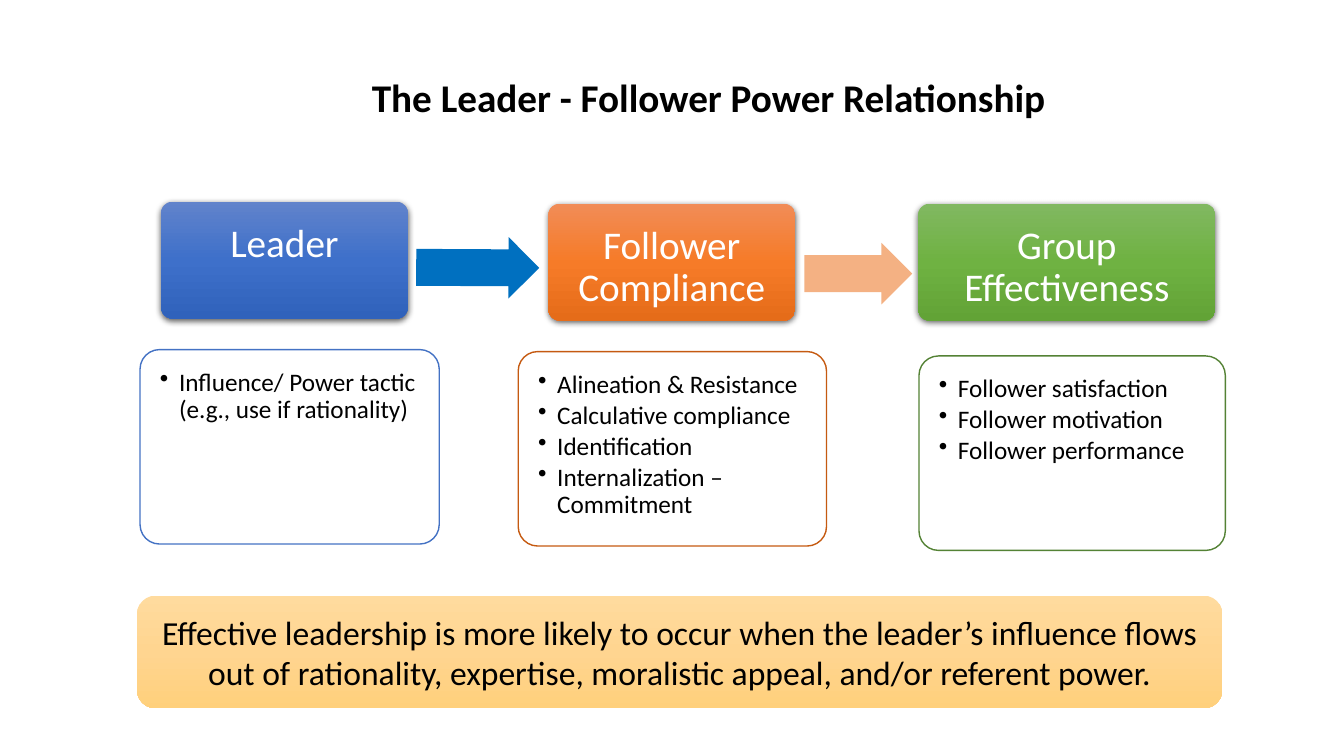
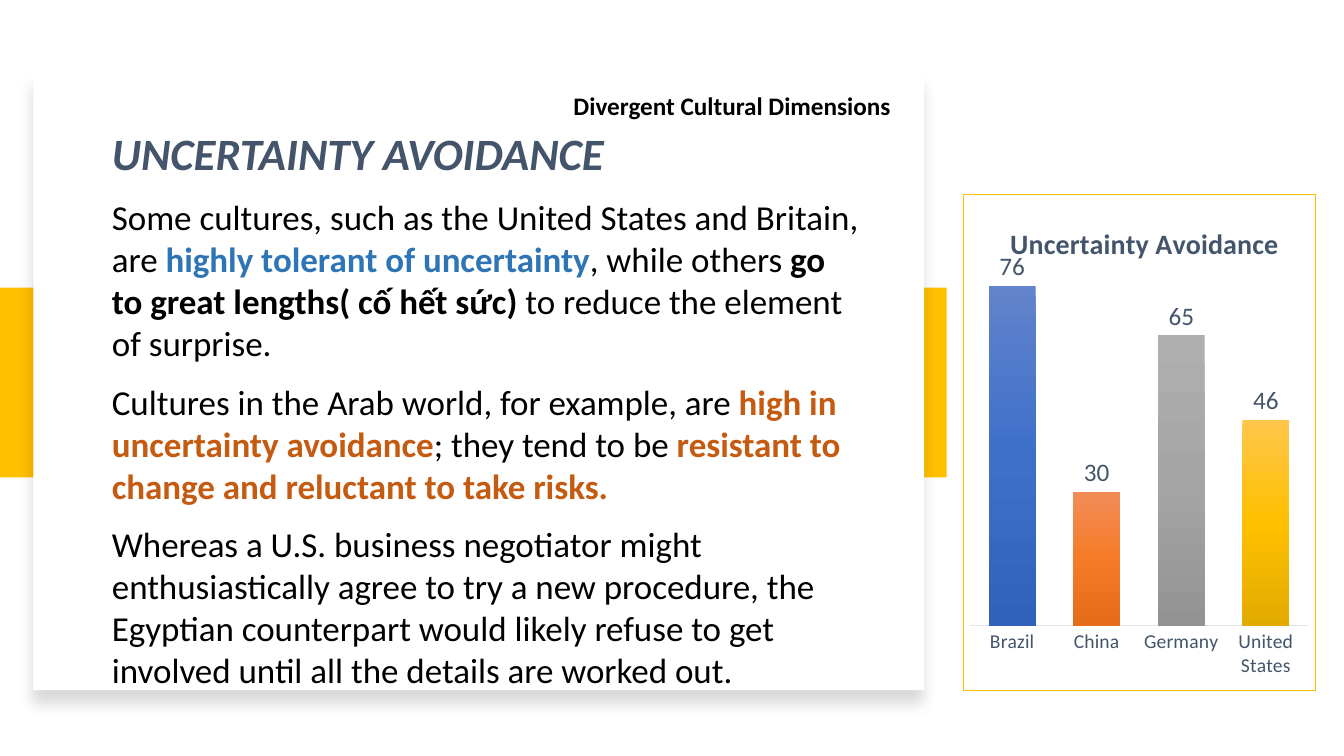
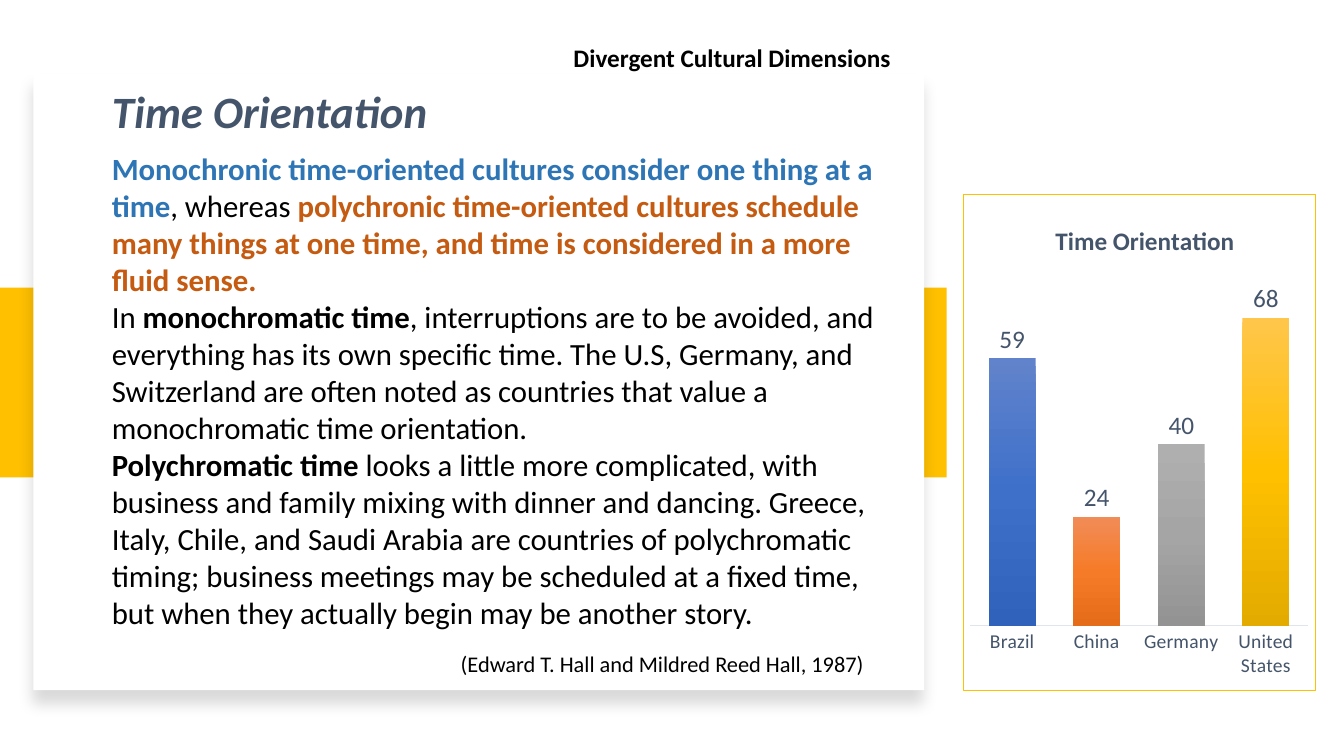
"""Build three slides on leadership power and cultural dimensions."""
from dataclasses import dataclass

from pptx import Presentation
from pptx.chart.data import CategoryChartData
from pptx.dml.color import RGBColor
from pptx.enum.chart import XL_CHART_TYPE, XL_LABEL_POSITION, XL_TICK_MARK
from pptx.enum.shapes import MSO_SHAPE
from pptx.enum.text import MSO_ANCHOR, PP_ALIGN
from pptx.oxml import parse_xml
from pptx.oxml.ns import nsdecls
from pptx.util import Cm, Pt

RECTANGLE = MSO_SHAPE.RECTANGLE
ROUNDED = MSO_SHAPE.ROUNDED_RECTANGLE
ARROW = MSO_SHAPE.RIGHT_ARROW
LEFT, CENTER, RIGHT = PP_ALIGN.LEFT, PP_ALIGN.CENTER, PP_ALIGN.RIGHT
TOP, MIDDLE = MSO_ANCHOR.TOP, MSO_ANCHOR.MIDDLE
COLUMN = XL_CHART_TYPE.COLUMN_CLUSTERED
OUTSIDE_END = XL_LABEL_POSITION.OUTSIDE_END
NO_TICK = XL_TICK_MARK.NONE


@dataclass(frozen=True)
class Theme:
    """Colours, gradients, font and type sizes shared by the slides."""
    font: str = "Calibri"
    black: str = "000000"
    white: str = "FFFFFF"
    slate: str = "44546A"
    gold: str = "FFC000"
    sky: str = "2E75B6"
    rust: str = "C55A11"
    axis: str = "E0E5EB"
    blue_edge: str = "4472C4"
    green_edge: str = "548235"
    blue_arrow: str = "0070C0"
    peach_arrow: str = "F4B183"
    blue: tuple = ("6183CB", "3E70CA", "3062BB")
    orange: tuple = ("F18C57", "F67B28", "E56C19")
    grey: tuple = ("AFAFAF", "A5A5A5", "939393")
    yellow: tuple = ("FFC64B", "FFC000", "E3AB00")
    green: tuple = ("81B861", "6FB242", "62A336")
    cream: tuple = ("FFDB9E", "FFD590", "FFD07C")
    heading: int = 32
    title: int = 28
    banner: int = 24
    label: int = 18
    citation: int = 16
    axis_label: int = 14


THEME = Theme()
RUN_STYLES = {"plain": (None, False), "bold": (None, True),
              "sky": (THEME.sky, True), "rust": (THEME.rust, True)}


@dataclass(frozen=True)
class Box:
    """A rectangle in centimetres."""
    left: float
    top: float
    width: float
    height: float

    def inner(self, left, top, width, height):
        """Return a box offset from this one's corner."""
        return Box(self.left + left, self.top + top, width, height)

    def place(self):
        """Return the position and size as lengths."""
        return Cm(self.left), Cm(self.top), Cm(self.width), Cm(self.height)


@dataclass(frozen=True)
class Stage:
    """One column of the power model; the heading is offset from the detail."""
    box: Box
    heading: str
    heading_left: float
    heading_width: float
    detail_top: float
    gradient: tuple
    edge: str
    points: tuple


@dataclass(frozen=True)
class Dimension:
    """Content of a cultural dimension slide; tops are within the panel."""
    heading: str
    kicker_top: float
    heading_top: float
    body_top: float
    body_width: float
    body_size: int
    body_gap: int
    body: tuple
    chart_title: str
    chart_title_size: int
    chart_title_left: float
    plot_top: float
    values: tuple
    citation: str = ""


def style_font(font, size, color, bold=False, italic=False):
    """Set the theme font with a size, colour and weight."""
    font.name = THEME.font
    font.size = Pt(size)
    font.bold = bold
    font.italic = italic
    font.color.rgb = RGBColor.from_string(color)


def set_gradient(fill, root, colors, index=0):
    """Fill from top to bottom with evenly spaced colour stops."""
    fill.gradient()
    fill.gradient_angle = 270
    stops = root.xpath(".//a:gsLst")[index]
    for stop in list(stops):
        stops.remove(stop)
    step = 100000 // (len(colors) - 1)
    for number, color in enumerate(colors):
        stops.append(parse_xml(
            f'<a:gs {nsdecls("a")} pos="{number * step}">'
            f'<a:srgbClr val="{color}"/></a:gs>'))


def add_shadow(shape, opacity, blur, distance):
    """Give a shape a soft shadow below it."""
    shape.element.xpath(".//a:effectLst")[0].append(parse_xml(
        f'<a:outerShdw {nsdecls("a")} blurRad="{Pt(blur)}" '
        f'dist="{Pt(distance)}" dir="5400000" algn="t" rotWithShape="0">'
        f'<a:srgbClr val="{THEME.black}"><a:alpha val="{opacity * 1000}"/>'
        '</a:srgbClr></a:outerShdw>'))


def add_figure(slide, kind, box, fill, edge=None, adjustments=()):
    """Add a preset shape with a flat or gradient fill."""
    shape = slide.shapes.add_shape(kind, *box.place())
    shape.shadow.inherit = False
    for index, value in enumerate(adjustments):
        shape.adjustments[index] = value
    if isinstance(fill, tuple):
        set_gradient(shape.fill, shape.element, fill)
    else:
        shape.fill.solid()
        shape.fill.fore_color.rgb = RGBColor.from_string(fill)
    if edge:
        shape.line.color.rgb = RGBColor.from_string(edge)
        shape.line.width = Pt(1)
    else:
        shape.line.fill.background()
    return shape


def add_bullet(paragraph):
    """Give a paragraph a round bullet with a hanging indent."""
    properties = paragraph._p.get_or_add_pPr()
    properties.set("marL", str(Cm(0.48)))
    properties.set("indent", str(-Cm(0.48)))
    properties.append(parse_xml(f'<a:buChar {nsdecls("a")} char="•"/>'))


def write_text(shape, paragraphs, size, color=THEME.black, bold=False,
               italic=False, align=LEFT, anchor=TOP, spacing=None,
               before=0, after=0, inset=None, bullets=False):
    """Write paragraphs, each a string or a tuple of styled runs."""
    frame = shape.text_frame
    frame.word_wrap = True
    frame.vertical_anchor = anchor
    if inset is not None:
        frame.margin_left = frame.margin_right = Cm(inset)
        frame.margin_top = frame.margin_bottom = Cm(inset)
    for index, content in enumerate(paragraphs):
        paragraph = frame.add_paragraph() if index else frame.paragraphs[0]
        paragraph.alignment = align
        if spacing:
            paragraph.line_spacing = spacing
        if index and before:
            paragraph.space_before = Pt(before)
        if after:
            paragraph.space_after = Pt(after)
        if bullets:
            add_bullet(paragraph)
        style_font(paragraph.font, size, color, bold, italic)
        if isinstance(content, str):
            paragraph.add_run().text = content
            continue
        for text, style in content:
            run = paragraph.add_run()
            run.text = text
            run_color, run.font.bold = RUN_STYLES[style]
            if run_color:
                run.font.color.rgb = RGBColor.from_string(run_color)


def add_text(slide, box, paragraphs, size, **options):
    """Add a text box."""
    write_text(slide.shapes.add_textbox(*box.place()), paragraphs, size,
               **options)


def add_stage(slide, stage):
    """Add a gradient heading above an outlined list."""
    box = stage.box
    heading = add_figure(
        slide, ROUNDED,
        box.inner(stage.heading_left, 0, stage.heading_width, 2.95),
        stage.gradient, adjustments=(0.1,))
    add_shadow(heading, 63, 4.5, 1.5)
    write_text(heading, [stage.heading], THEME.title, color=THEME.white,
               align=CENTER, spacing=0.9, inset=0.47)
    detail = add_figure(
        slide, ROUNDED, box.inner(0, stage.detail_top, box.width, 4.9),
        THEME.white, stage.edge, (0.1,))
    write_text(detail, stage.points, THEME.label, spacing=0.9, after=2.7,
               inset=0.36, bullets=True)


def add_arrow(slide, box, color, rotation=0):
    """Add a block arrow between two stages."""
    arrow = add_figure(slide, ARROW, box, color, adjustments=(0.6, 0.5))
    arrow.rotation = rotation


def add_power_slide(slide):
    """Add the power model: title, stages, arrows and banner."""
    add_text(slide, Box(5.22, 0.76, 25.27, 3.53),
             ["The Leader - Follower Power Relationship"], THEME.title,
             bold=True, align=CENTER, anchor=MIDDLE, spacing=0.9)
    for stage in STAGES:
        add_stage(slide, stage)
    add_arrow(slide, Box(10.49, 5.97, 3.1, 1.55), THEME.blue_arrow, 0.3)
    add_arrow(slide, Box(20.27, 6.12, 2.72, 1.55), THEME.peach_arrow)
    banner = add_figure(slide, ROUNDED, Box(3.45, 15.01, 27.36, 2.84),
                        THEME.cream)
    write_text(banner, [
        "Effective leadership is more likely to occur when the leader’s "
        "influence flows out of rationality, expertise, moralistic appeal, "
        "and/or referent power."], THEME.banner, align=CENTER, anchor=MIDDLE)


def set_layout(parent, index, target="", **fractions):
    """Fix a chart part at fractions of the chart size."""
    for layout in parent.xpath("c:layout"):
        parent.remove(layout)
    inner = f'<c:layoutTarget val="{target}"/>' if target else ""
    sizes = "".join(f'<c:{name} val="{value}"/>'
                    for name, value in fractions.items())
    parent.insert(index, parse_xml(
        f'<c:layout {nsdecls("c")}><c:manualLayout>{inner}'
        '<c:xMode val="edge"/><c:yMode val="edge"/>'
        f'{sizes}</c:manualLayout></c:layout>'))


def add_country_chart(slide, box, dimension):
    """Add a framed column chart comparing four countries."""
    data = CategoryChartData()
    data.categories = ["Brazil", "China", "Germany", "United States"]
    data.add_series("Series 1", dimension.values)
    chart = slide.shapes.add_chart(COLUMN, *box.place(), data).chart
    style_font(chart.font, THEME.label, THEME.black)
    chart.has_legend = False
    chart.has_title = True
    paragraph = chart.chart_title.text_frame.paragraphs[0]
    run = paragraph.add_run()
    run.text = dimension.chart_title
    style_font(run.font, dimension.chart_title_size, THEME.slate, bold=True)

    value_axis = chart.value_axis
    value_axis.minimum_scale, value_axis.maximum_scale = 0, 80
    value_axis.has_major_gridlines = False
    value_axis.visible = False
    category_axis = chart.category_axis
    category_axis.major_tick_mark = NO_TICK
    category_axis.format.line.color.rgb = RGBColor.from_string(THEME.axis)
    category_axis.format.line.width = Pt(0.75)
    style_font(category_axis.tick_labels.font, THEME.axis_label, THEME.slate)

    plot = chart.plots[0]
    plot.gap_width = 80
    plot.overlap = -50
    plot.vary_by_categories = False
    plot.has_data_labels = True
    labels = plot.data_labels
    labels.show_value = True
    labels.position = OUTSIDE_END
    style_font(labels.font, THEME.label, THEME.slate)
    gradients = (THEME.blue, THEME.orange, THEME.grey, THEME.yellow)
    for index, colors in enumerate(gradients):
        point = plot.series[0].points[index]
        set_gradient(point.format.fill, chart.element, colors, index)

    root = chart.element.xpath("c:chart")[0]
    set_layout(root.xpath("c:title")[0], 1,
               x=dimension.chart_title_left, y=0.05)
    set_layout(root.xpath("c:plotArea")[0], 0, "inner", x=0.02,
               y=dimension.plot_top, w=0.96,
               h=round(0.87 - dimension.plot_top, 2))
    root.addnext(parse_xml(
        f'<c:spPr {nsdecls("c", "a")}><a:solidFill>'
        f'<a:srgbClr val="{THEME.white}"/></a:solidFill>'
        f'<a:ln w="{Pt(0.25)}"><a:solidFill><a:srgbClr val="{THEME.gold}"/>'
        '</a:solidFill></a:ln></c:spPr>'))


def add_panel_text(slide, panel, dimension):
    """Write the kicker, heading, body and citation on the panel."""
    add_text(slide, panel.inner(9.9, dimension.kicker_top, 11.96, 1.52),
             ["Divergent Cultural Dimensions"], THEME.label, bold=True,
             align=RIGHT, anchor=MIDDLE, spacing=0.9)
    add_text(slide,
             panel.inner(1.73, dimension.body_top, dimension.body_width, 12.5),
             dimension.body, dimension.body_size, before=dimension.body_gap)
    add_text(slide, panel.inner(1.73, dimension.heading_top, 16.94, 1.63),
             [dimension.heading], THEME.heading, color=THEME.slate,
             bold=True, italic=True)
    if dimension.citation:
        add_text(slide, panel.inner(6.73, 14.41, 14.45, 0.94),
                 [dimension.citation], THEME.citation, align=RIGHT)


def add_dimension_slide(slide, dimension):
    """Add a band, a raised text panel and a chart."""
    panel = Box(0.84, 1.85, 22.45, 15.54)
    add_figure(slide, RECTANGLE, Box(0, 7.25, 23.86, 4.78), THEME.gold)
    add_shadow(add_figure(slide, RECTANGLE, panel, THEME.white), 15, 11, 10)
    add_country_chart(slide, Box(24.26, 4.88, 8.89, 12.52), dimension)
    add_panel_text(slide, panel, dimension)


STAGES = (
    Stage(Box(3.53, 5.08, 7.54, 8.63), "Leader", 0.53, 6.22, 3.73,
          THEME.blue, THEME.blue_edge,
          ("Influence/ Power tactic (e.g., use if rationality)",)),
    Stage(Box(13.06, 5.13, 7.77, 8.63), "Follower Compliance", 0.76, 6.22,
          3.73, THEME.orange, THEME.rust,
          ("Alineation & Resistance", "Calculative compliance",
           "Identification", "Internalization – Commitment")),
    Stage(Box(23.16, 5.13, 7.72, 8.74), "Group Effectiveness", -0.02, 7.49,
          3.84, THEME.green, THEME.green_edge,
          ("Follower satisfaction", "Follower motivation",
           "Follower performance")),
)

DIMENSIONS = (
    Dimension(
        heading="UNCERTAINTY AVOIDANCE", kicker_top=0.1, heading_top=1.2,
        body_top=2.95, body_width=19.43, body_size=25, body_gap=12,
        body=(
            (("Some cultures, such as the United States and Britain, are ",
              "plain"),
             ("highly tolerant of uncertainty", "sky"),
             (", while others ", "plain"),
             ("go to great lengths( cố hết sức) ", "bold"),
             ("to reduce the element of surprise.", "plain")),
            (("Cultures in the Arab world, for example, are ", "plain"),
             ("high in uncertainty avoidance", "rust"),
             ("; they tend to be ", "plain"),
             ("resistant to change and reluctant to take risks.", "rust")),
            "Whereas a U.S. business negotiator might enthusiastically agree "
            "to try a new procedure, the Egyptian counterpart would likely "
            "refuse to get involved until all the details are worked out."),
        chart_title="Uncertainty Avoidance", chart_title_size=20,
        chart_title_left=0.12, plot_top=0.15, values=(76, 30, 65, 46)),
    Dimension(
        heading="Time Orientation", kicker_top=-1.11, heading_top=0.13,
        body_top=1.81, body_width=20.14, body_size=22, body_gap=0,
        body=(
            (("Monochronic time-oriented cultures consider one thing at a "
              "time", "sky"),
             (", whereas ", "plain"),
             ("polychronic time-oriented cultures schedule many things at "
              "one time, and time is considered in a more fluid sense.",
              "rust")),
            (("In ", "plain"), ("monochromatic time", "bold"),
             (", interruptions are to be avoided, and everything has its own "
              "specific time. The U.S, Germany, and Switzerland are often "
              "noted as countries that value a monochromatic time "
              "orientation.", "plain")),
            (("Polychromatic time ", "bold"),
             ("looks a little more complicated, with business and family "
              "mixing with dinner and dancing. Greece, Italy, Chile, and "
              "Saudi Arabia are countries of polychromatic timing; business "
              "meetings may be scheduled at a fixed time, but when they "
              "actually begin may be another story.", "plain"))),
        chart_title="Time Orientation", chart_title_size=18,
        chart_title_left=0.25, plot_top=0.14, values=(59, 24, 40, 68),
        citation="(Edward T. Hall and Mildred Reed Hall, 1987)"),
)


def main():
    """Build and save the presentation."""
    presentation = Presentation()
    presentation.slide_width = Cm(33.87)
    presentation.slide_height = Cm(19.05)
    blank = presentation.slide_layouts[6]
    add_power_slide(presentation.slides.add_slide(blank))
    for dimension in DIMENSIONS:
        add_dimension_slide(presentation.slides.add_slide(blank), dimension)
    presentation.save("out.pptx")


if __name__ == "__main__":
    main()
